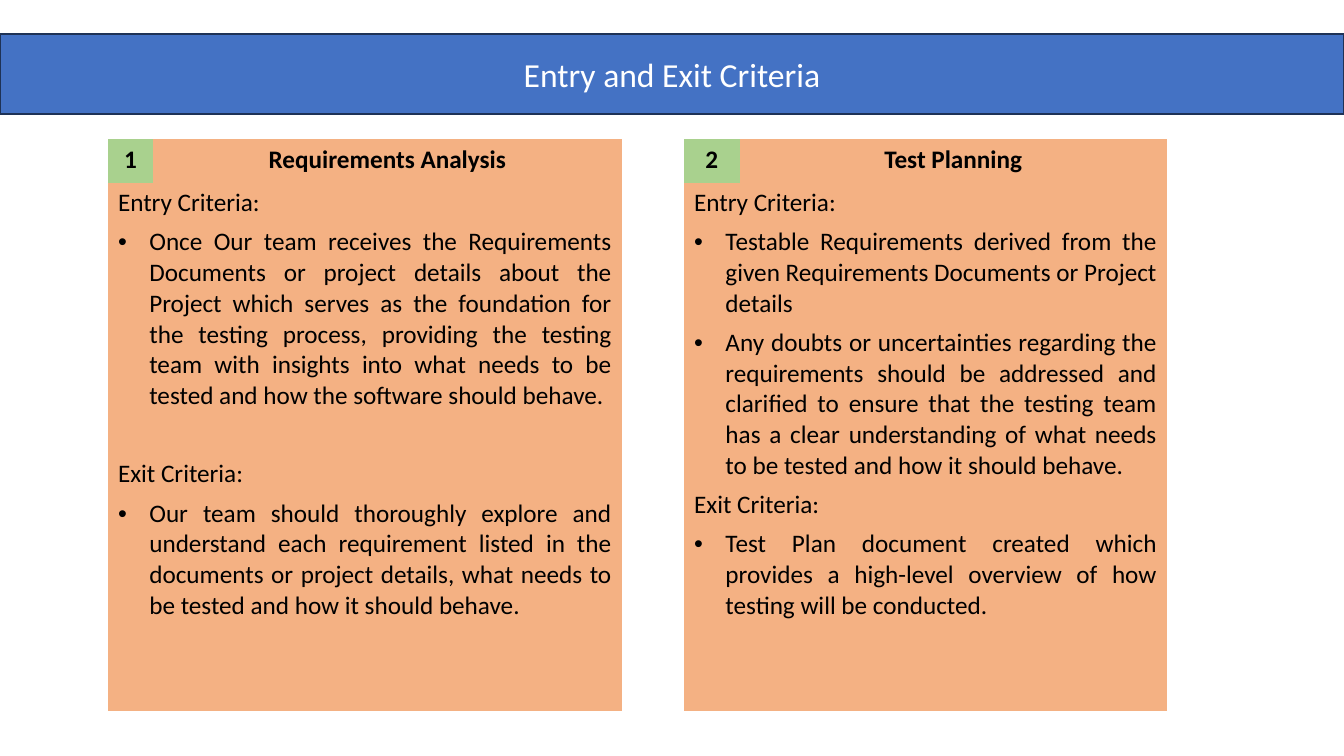
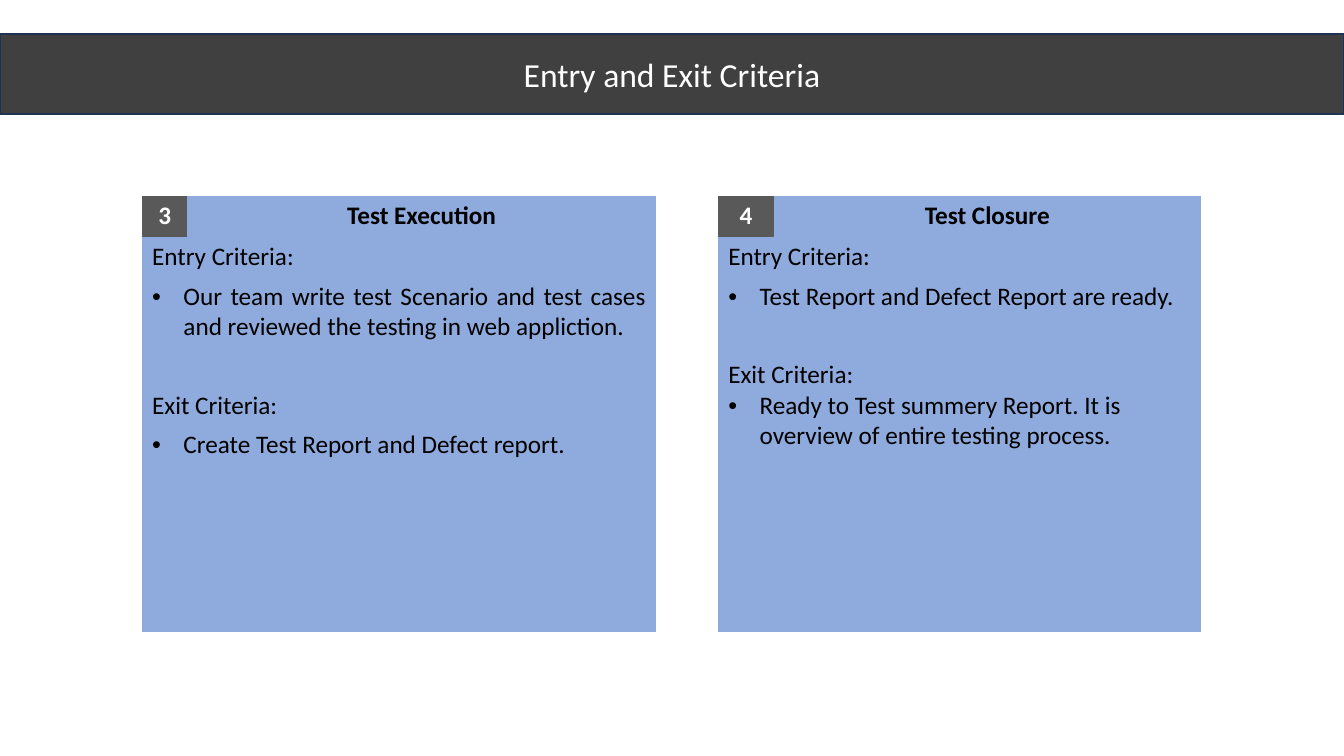
from lxml import etree
from pptx import Presentation, util as u
from pptx.dml.color import RGBColor
from pptx.enum import shapes, text
from pptx.oxml.ns import qn

ALIGN = text.PP_ALIGN
WIDE, HIGH = 33.87, 19.05
COLS = 1.14, 11.81, 1.57, 1.4, 10.77
PLAIN = "{2D5ABB26-0587-4C30-8999-92F81FD0307C}"
HEAD = {"alignment": ALIGN.CENTER}
BODY = {"alignment": ALIGN.JUSTIFY, "space_before": u.Pt(6)}
APART = BODY | {"space_before": u.Pt(34)}
LOOSE = {"alignment": ALIGN.LEFT}


def tint(code):
    return RGBColor.from_string(code)


class Deck:
    """Holds the shared style and the slide being built."""

    def __init__(self):
        self.file = Presentation()
        self.file.slide_width = u.Cm(WIDE)
        self.file.slide_height = u.Cm(HIGH)

    def page(self, title, fill):
        self.slide = self.file.slides.add_slide(self.file.slide_layouts[6])
        self.band(title, fill)

    def label(self, para, words, form, size=18, ink="000000", bold=False):
        for key, value in form.items():
            setattr(para, key, value)
        run = para.add_run()
        run.text = words
        for key, value in {"name": "Calibri", "size": u.Pt(size), "bold": bold}.items():
            setattr(run.font, key, value)
        run.font.color.rgb = tint(ink)

    def band(self, title, fill):
        bar = self.slide.shapes.add_shape(
            shapes.MSO_SHAPE.RECTANGLE, 0, u.Cm(0.86), u.Cm(WIDE), u.Cm(2.01))
        bar.shadow.inherit = False
        bar.fill.solid()
        bar.fill.fore_color.rgb = tint(fill)
        bar.line.color.rgb = tint("1E3256")
        bar.line.width = u.Pt(1)
        bar.text_frame.vertical_anchor = text.MSO_ANCHOR.MIDDLE
        self.label(bar.text_frame.paragraphs[0], title, HEAD, 24, "FFFFFF")

    def bullet(self, para):
        props = para._p.get_or_add_pPr()
        props.set("marL", str(u.Cm(0.79)))
        props.set("indent", str(u.Cm(-0.79)))
        etree.SubElement(props, qn("a:buFont")).set("typeface", "Arial")
        etree.SubElement(props, qn("a:buChar")).set("char", "•")

    def paint(self, cell, fill):
        cell.fill.solid()
        cell.fill.fore_color.rgb = tint(fill)

    def header(self, cell, words, fill, ink):
        self.paint(cell, fill)
        self.label(cell.text_frame.paragraphs[0], words, HEAD, ink=ink, bold=True)

    def criteria(self, cell, lines, fill):
        self.paint(cell, fill)
        frame = cell.text_frame
        for spot, (words, form, listed) in enumerate(lines):
            para = frame.add_paragraph() if spot else frame.paragraphs[0]
            self.label(para, words, form)
            if listed:
                self.bullet(para)

    def phases(self, left, top, rows, fill, badge, ink, items):
        frame = self.slide.shapes.add_table(
            2, len(COLS), u.Cm(left), u.Cm(top), u.Cm(sum(COLS)), u.Cm(sum(rows)))
        grid = frame.table
        grid.first_row = grid.horz_banding = False
        grid._tbl.tblPr.find(qn("a:tableStyleId")).text = PLAIN
        for col, wide in zip(grid.columns, COLS):
            col.width = u.Cm(wide)
        for row, high in zip(grid.rows, rows):
            row.height = u.Cm(high)
        for row in range(2):
            grid.cell(row, 2).fill.background()
        for col, (mark, name, lines) in zip((0, 3), items):
            self.header(grid.cell(0, col), mark, badge, ink)
            self.header(grid.cell(0, col + 1), name, fill, "000000")
            grid.cell(1, col).merge(grid.cell(1, col + 1))
            self.criteria(grid.cell(1, col), lines, fill)


ENTRY = ("Entry Criteria:", BODY, False)
EXIT = ("Exit Criteria:", BODY, False)
LATER = ("Exit Criteria:", APART, False)
TITLE = "Entry and Exit Criteria"

FIRST = [
    ("1", "Requirements Analysis", [
        ENTRY,
        ("Once Our team receives the Requirements Documents or project details about "
         "the Project which serves as the foundation for the testing process, providing "
         "the testing team with insights into what needs to be tested and how the "
         "software should behave.", BODY, True),
        LATER,
        ("Our team should thoroughly explore and understand each requirement listed in "
         "the documents or project details, what needs to be tested and how it should "
         "behave.", BODY, True)]),
    ("2", "Test Planning", [
        ENTRY,
        ("Testable Requirements derived from the given Requirements Documents or "
         "Project details", BODY, True),
        ("Any doubts or uncertainties regarding the requirements should be addressed "
         "and clarified to ensure that the testing team has a clear understanding of "
         "what needs to be tested and how it should behave.", BODY, True),
        EXIT,
        ("Test Plan document created which provides a high-level overview of how "
         "testing will be conducted.", BODY, True)]),
]
SECOND = [
    ("3", "Test Execution", [
        ENTRY,
        ("Our team write test Scenario and test cases and reviewed the testing in web "
         "appliction.", BODY, True),
        LATER,
        ("Create Test Report and Defect report.", BODY, True)]),
    ("4", "Test Closure", [
        ENTRY,
        ("Test Report and Defect Report are ready.", BODY, True),
        LATER,
        ("Ready to Test summery Report. It is overview of entire testing process.",
         LOOSE, True)]),
]


def main():
    deck = Deck()
    deck.page(TITLE, "4472C4")
    deck.phases(2.72, 3.51, (1.09, 13.31), "F4B183", "A9D18E", "000000", FIRST)
    deck.page(TITLE, "404040")
    deck.phases(3.58, 4.93, (1.04, 9.96), "8FAADC", "595959", "FFFFFF", SECOND)
    deck.file.save("out.pptx")


if __name__ == "__main__":
    main()
